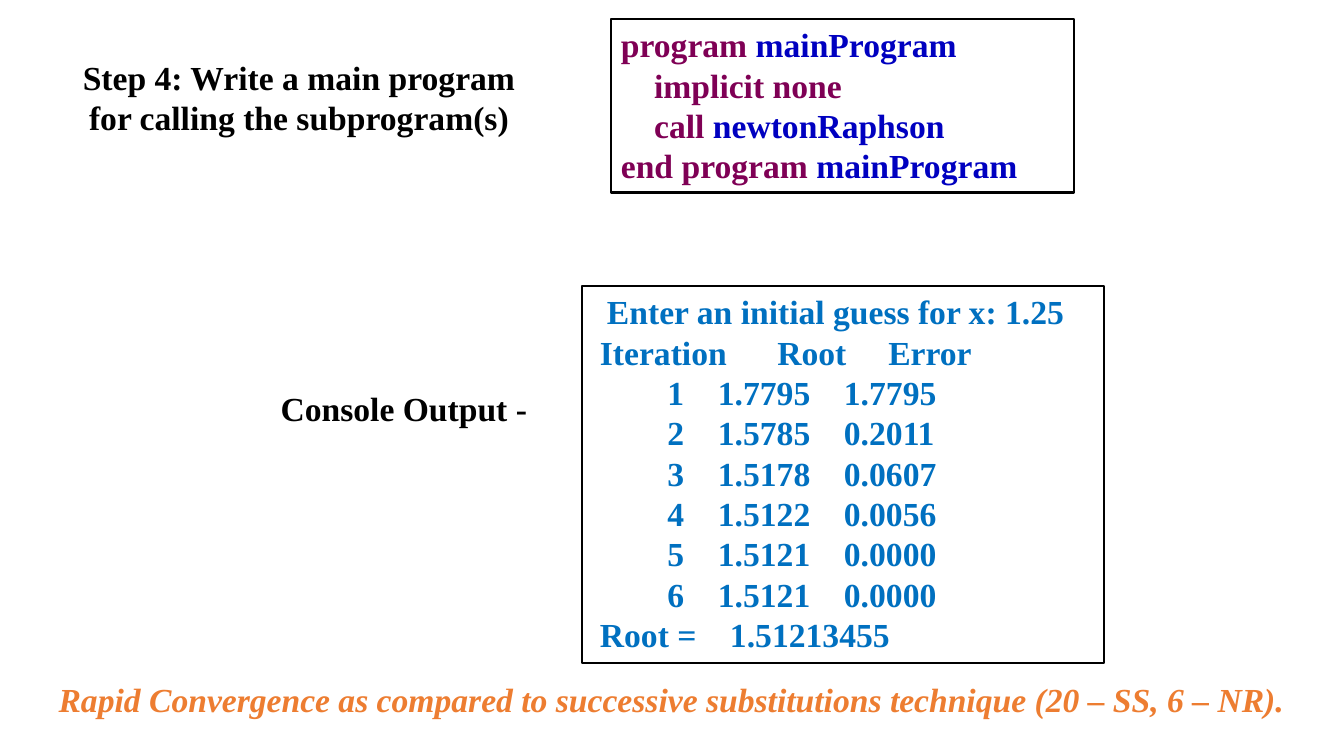
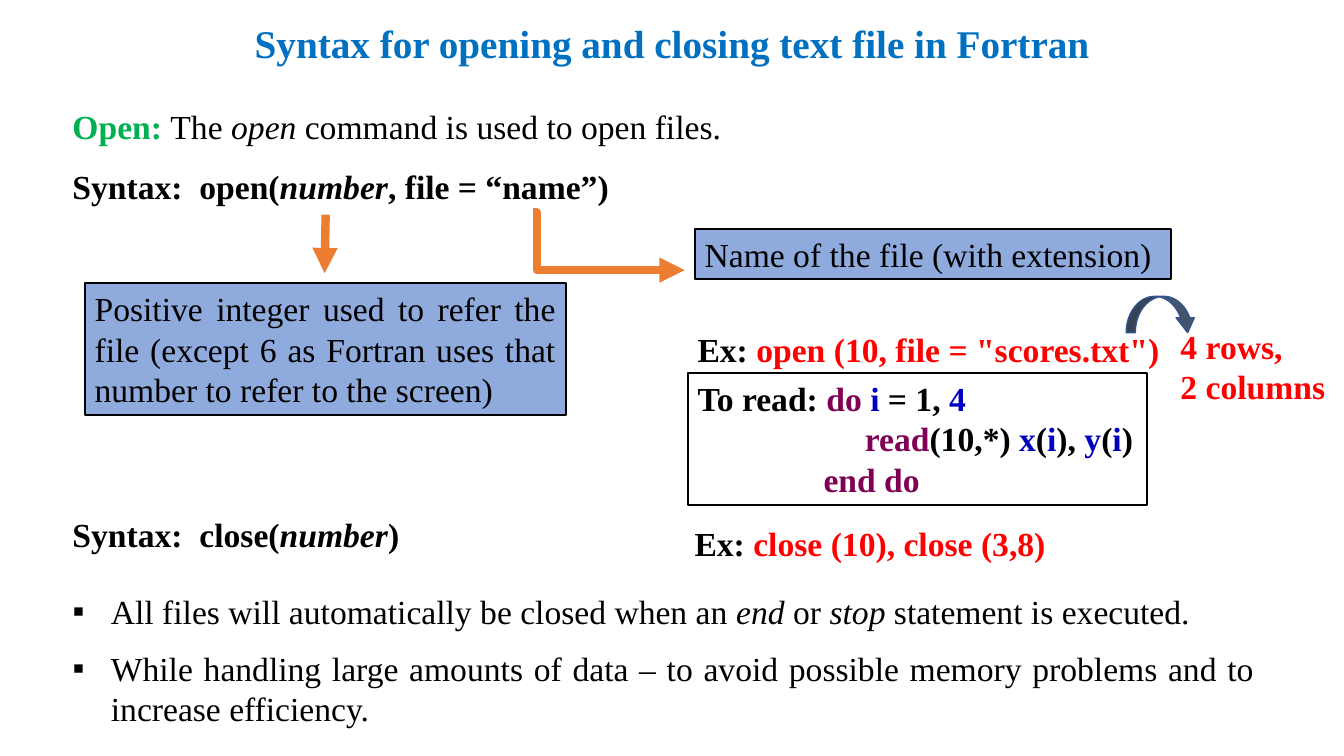
"""Build two Fortran lecture slides: Newton-Raphson output and file syntax."""
import pptx
import pptx.dml.color
import pptx.enum.shapes
import pptx.enum.text
import pptx.oxml
import pptx.oxml.ns
import pptx.util

Inches = pptx.util.Inches
Pt = pptx.util.Pt
ALIGN = pptx.enum.text.PP_ALIGN
SHAPE = pptx.enum.shapes.MSO_SHAPE
CONNECTOR = pptx.enum.shapes.MSO_CONNECTOR
FONT = "Times New Roman"
COLORS = {
    "black": "000000", "blue": "0070C0", "orange": "ED7D31", "green": "00B050",
    "red": "FF0000", "keyword": "7F0055", "name": "0000C0", "panel": "8FAADC",
    "slate": "44546A", "edge": "325491",
}
RGB = {key: pptx.dml.color.RGBColor.from_string(value) for key, value in COLORS.items()}


def write(box, place, lines, align=ALIGN.LEFT, size=24, indents=(), tabs=()):
    """Place a box and fill it with lines of (text, colour, flags) spans."""
    box.left, box.top, box.width, box.height = map(Inches, place)
    frame = box.text_frame
    frame.word_wrap = True
    frame.auto_size = pptx.enum.text.MSO_AUTO_SIZE.NONE
    frame.vertical_anchor = pptx.enum.text.MSO_ANCHOR.TOP
    for number, spans in enumerate(lines):
        para = frame.paragraphs[0] if number == 0 else frame.add_paragraph()
        para.alignment = align
        properties = para._p.get_or_add_pPr()
        if indents:
            properties.set("marL", str(Inches(indents[number])))
        if tabs and tabs[number]:
            stops = pptx.oxml.parse_xml(f"<a:tabLst {pptx.oxml.ns.nsdecls('a')}/>")
            for stop in tabs[number]:
                stops.append(pptx.oxml.parse_xml(
                    f"<a:tab {pptx.oxml.ns.nsdecls('a')} pos='{Inches(stop)}' algn='l'/>"))
            properties.append(stops)
        for text, color, flags in spans:
            span = para.add_run()
            span.text = text
            span.font.name = FONT
            span.font.size = Pt(size)
            span.font.bold = "b" in flags
            span.font.italic = "i" in flags
            span.font.color.rgb = RGB[color]
    return box


def add_panel(page, fill=None):
    """Add a rectangle with a black outline."""
    panel = page.shapes.add_shape(SHAPE.RECTANGLE, 0, 0, 0, 0)
    panel.shadow.inherit = False
    panel.line.color.rgb = RGB["black"]
    panel.line.width = Pt(1.5)
    if fill:
        panel.fill.solid()
        panel.fill.fore_color.rgb = RGB[fill]
    else:
        panel.fill.background()
    return panel


deck = pptx.Presentation()
deck.slide_width = Inches(13.33)
deck.slide_height = Inches(7.5)

page = deck.slides.add_slide(deck.slide_layouts[5])
write(page.shapes.title, (0.51, 0.51, 4.91, 0.91),
      [[("Step 4: Write a main program for calling the subprogram(s)", "black", "b")]],
      ALIGN.CENTER)
write(add_panel(page), (6.06, 0.19, 4.59, 1.72), [
    [("program ", "keyword", "b"), ("mainProgram", "name", "b")],
    [("implicit none", "keyword", "b")],
    [("call ", "keyword", "b"), ("newtonRaphson", "name", "b")],
    [("end program ", "keyword", "b"), ("mainProgram", "name", "b")],
], indents=(0, 0.33, 0.33, 0))

iterations = [("1.7795", "1.7795"), ("1.5785", "0.2011"), ("1.5178", "0.0607"),
              ("1.5122", "0.0056"), ("1.5121", "0.0000"), ("1.5121", "0.0000")]
console_lines = ["Enter an initial guess for x: 1.25", "Iteration\tRoot\tError"]
console_lines += [f"\t{step}\t{root}\t{error}"
                  for step, (root, error) in enumerate(iterations, 1)]
console_lines.append("Root =\t1.51213455")
console = write(
    add_panel(page), (5.77, 2.84, 5.18, 3.74),
    [[(line, "blue", "b")] for line in console_lines],
    indents=[0.07] + [0] * (len(console_lines) - 1),
    tabs=[(), (1.76, 2.86)] + [(0.67, 1.17, 2.42)] * len(iterations) + [(1.29,)])
console.text_frame.margin_left = Inches(0.18)

notes = [
    ((2.44, 3.8, 3.13, 0.5), "Console Output -", "black", "b"),
    ((0.35, 6.69, 12.62, 0.5),
     "Rapid Convergence as compared to successive substitutions technique (20 – SS, 6 – NR).",
     "orange", "bi"),
]
for place, text, color, flags in notes:
    write(page.shapes.add_textbox(0, 0, 0, 0), place, [[(text, color, flags)]], ALIGN.CENTER)

page = deck.slides.add_slide(deck.slide_layouts[1])
write(page.shapes.title, (0, 0.14, 13.33, 0.57),
      [[("Syntax for opening and closing text file in Fortran", "blue", "b")]],
      ALIGN.CENTER, 28)
intro = write(page.shapes.add_textbox(0, 0, 0, 0), (0.62, 0.8, 12.09, 0.71), [[
    ("Open: ", "green", "b"), ("The ", "black", ""), ("open", "black", "i"),
    (" command is used to open files.", "black", "")]])
intro.text_frame.paragraphs[0].line_spacing = 1.5

for top, command, ending in [(1.6, "open(", ", file = “name”)"), (5.05, "close(", ")")]:
    write(page.shapes.add_textbox(0, 0, 0, 0), (0.62, top, 7.46, 0.5), [[
        ("Syntax:\t" + command, "black", "b"), ("number", "black", "bi"),
        (ending, "black", "b")]], tabs=[(1.26,)])

explanations = [
    ((0.84, 2.81, 4.77, 1.31), "Positive integer used to refer the file "
     "(except 6 as Fortran uses that number to refer to the screen)"),
    ((6.89, 2.27, 4.72, 0.5), "Name of the file (with extension)"),
]
for place, text in explanations:
    write(add_panel(page, "panel"), place, [[(text, "black", "")]], ALIGN.JUSTIFY)

arrows = [(CONNECTOR.STRAIGHT, (3.23, 2.13, 3.22, 2.71)),
          (CONNECTOR.ELBOW, (5.29, 2.11, 6.79, 2.68))]
for kind, ends in arrows:
    arrow = page.shapes.add_connector(kind, *map(Inches, ends))
    arrow.line.color.rgb = RGB["orange"]
    arrow.line.width = Pt(6)
    arrow.line._get_or_add_ln().append(pptx.oxml.parse_xml(
        f"<a:tailEnd {pptx.oxml.ns.nsdecls('a')} type='triangle'/>"))
    arrow._element.spPr.append(pptx.oxml.parse_xml(
        f"<a:effectLst {pptx.oxml.ns.nsdecls('a')}/>"))
    if kind == CONNECTOR.ELBOW:
        arrow._element.spPr.prstGeom.get_or_add_avLst().append(pptx.oxml.parse_xml(
            f"<a:gd {pptx.oxml.ns.nsdecls('a')} name='adj1' fmla='val 2300'/>"))

write(add_panel(page), (6.82, 3.7, 4.56, 1.31), [
    [("To read: ", "black", "b"), ("do ", "keyword", "b"), ("i", "name", "b"),
     (" = 1, ", "black", "b"), ("4", "name", "b")],
    [("read", "keyword", "b"), ("(10,*) ", "black", "b"), ("x", "name", "b"),
     ("(", "black", "b"), ("i", "name", "b"), ("), ", "black", "b"),
     ("y", "name", "b"), ("(", "black", "b"), ("i", "name", "b"), (")", "black", "b")],
    [("end do", "keyword", "b")],
], indents=(0, 1.66, 1.25))

examples = [((6.82, 3.21, 4.9, 0.5), 'open (10, file = "scores.txt")'),
            ((6.79, 5.14, 4.9, 0.5), "close (10), close (3,8)")]
for place, text in examples:
    write(page.shapes.add_textbox(0, 0, 0, 0), place,
          [[("Ex: ", "black", "b"), (text, "red", "b")]])
write(page.shapes.add_textbox(0, 0, 0, 0), (11.61, 3.18, 1.72, 0.91),
      [[("4 rows,", "red", "b")], [("2 columns", "red", "b")]])

curve = page.shapes.add_shape(SHAPE.CURVED_DOWN_ARROW, *map(Inches, (11.17, 2.94, 0.7, 0.36)))
curve.shadow.inherit = False
curve.adjustments[2] = 0.41
curve.fill.solid()
curve.fill.fore_color.rgb = RGB["slate"]
curve.line.color.rgb = RGB["edge"]
curve.line.width = Pt(1)

remarks = write(page.placeholders[1], (0.62, 5.81, 11.92, 1.48), [
    [("All files will automatically be closed when an ", "black", ""), ("end", "black", "i"),
     (" or ", "black", ""), ("stop", "black", "i"),
     (" statement is executed.", "black", "")],
    [("While handling large amounts of data – to avoid possible memory problems "
      "and to increase efficiency.", "black", "")],
], ALIGN.JUSTIFY, indents=(0.38, 0.38))
for para, gap in zip(remarks.text_frame.paragraphs, (0, 12)):
    para.space_before = Pt(gap)
    properties = para._p.get_or_add_pPr()
    properties.set("indent", str(Inches(-0.38)))
    properties.append(pptx.oxml.parse_xml(
        f"<a:buChar {pptx.oxml.ns.nsdecls('a')} char='▪'/>"))

deck.save("out.pptx")
